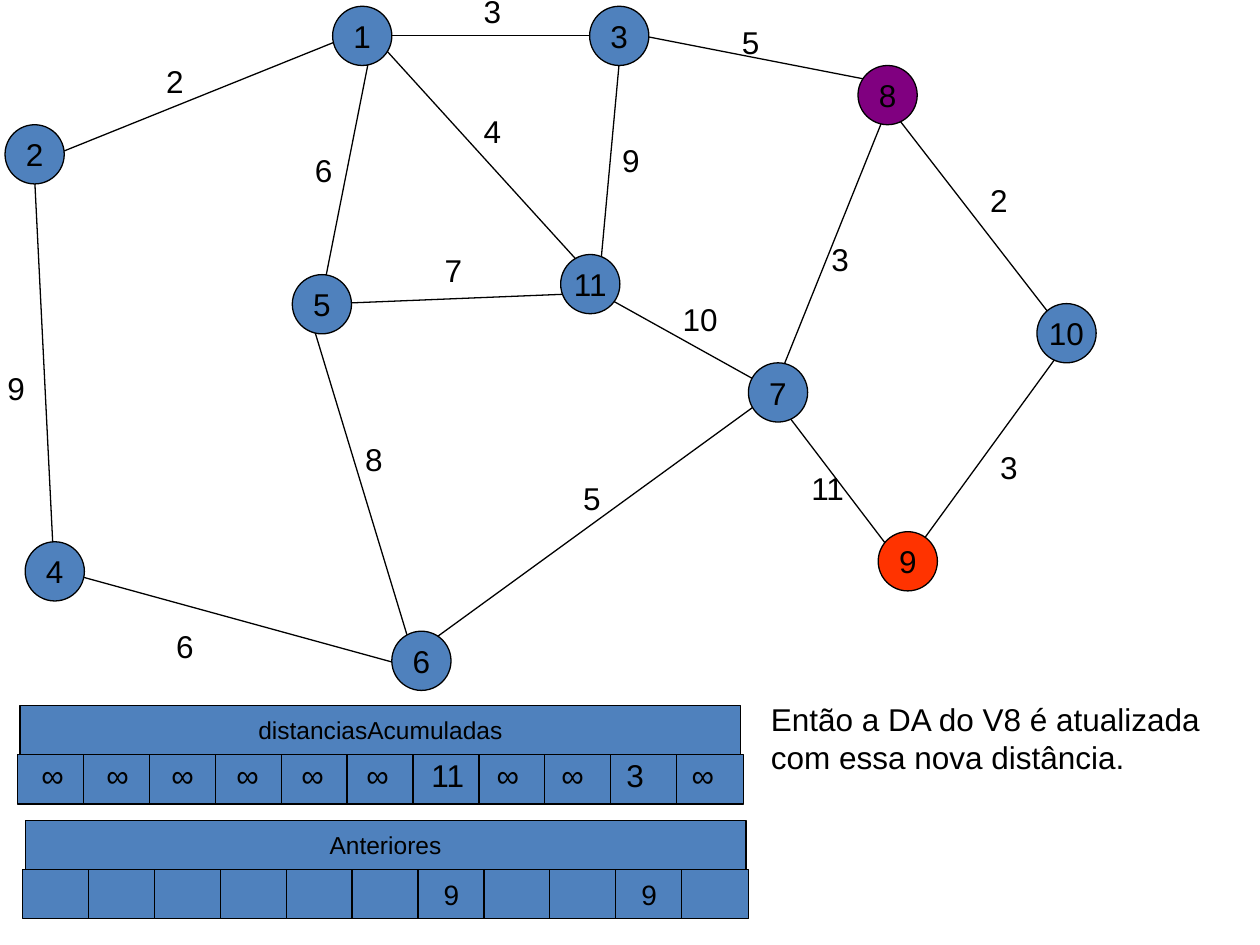
import pptx
import pptx.dml.color
import pptx.enum.shapes
import pptx.enum.text
import pptx.util
from lxml import etree

COLUMNS, ROWS = 10, 7.5  # one grid unit is one inch
BLUE, PURPLE, RED, BLACK = "4F81BD", "800080", "FF3300", "000000"
FONT = "Arial"
NODE_SIZE = 0.47
CELL_WIDTH, CELL_HEIGHT = 0.53, 0.39
VERTICES = 11

# name: (left, top) of each vertex
NODES = {
    "1": (2.64, 0.05), "3": (4.68, 0.05), "8": (6.81, 0.52),
    "10": (8.23, 2.41), "9": (6.97, 4.22), "7": (5.94, 2.88),
    "11": (4.45, 2.02), "5": (2.32, 2.18), "2": (0.04, 0.99),
    "4": (0.2, 4.3), "6": (3.11, 5.01),
}
NODE_COLOURS = {"8": PURPLE, "9": RED}

# start, end, weight, (left, top) of the weight
EDGES = [
    ((2.79, 0.28), (0.43, 1.23), "2", (1.22, 0.44)),
    ((0.27, 1.31), (0.43, 4.54), "9", (-0.04, 2.88)),
    ((0.51, 4.54), (3.35, 5.32), "6", (1.3, 4.93)),
    ((7.2, 4.46), (8.46, 2.73), "3", (7.84, 3.51)),
    ((8.39, 2.57), (7.05, 0.84), "2", (7.76, 1.39)),
    ((7.05, 0.84), (6.1, 3.2), "3", (6.5, 1.86)),
    ((6.18, 3.2), (7.2, 4.54), "11", (6.34, 3.67)),
    ((6.18, 3.12), (4.76, 2.33), "10", (5.32, 2.33)),
    ((2.64, 2.41), (4.61, 2.33), "7", (3.43, 1.94)),
    ((2.95, 0.36), (2.56, 2.33), "6", (2.4, 1.15)),
    ((2.48, 2.57), (3.27, 5.17), "8", (2.8, 3.44)),
    ((2.95, 0.28), (4.84, 0.28), "3", (3.74, -0.11)),
    ((5.08, 0.28), (7.13, 0.68), "5", (5.79, 0.13)),
    ((4.92, 0.44), (4.76, 2.18), "9", (4.84, 1.07)),
    ((3.03, 0.36), (4.61, 2.1), "4", (3.74, 0.84)),
    ((6.02, 3.2), (3.42, 5.09), "5", (4.53, 3.75)),
]

DISTANCES = {7: "11", 10: "3"}  # every other vertex is at infinity
PREVIOUS = {7: "9", 10: "9"}


def units(*lengths):
    return [pptx.util.Inches(length) for length in lengths]


def colour(hex_text):
    return pptx.dml.color.RGBColor.from_string(hex_text)


def write(shape, text, size, centred=False, wrap=False):
    frame = shape.text_frame
    frame.word_wrap = wrap
    paragraph = frame.paragraphs[0]
    if centred:
        frame.vertical_anchor = pptx.enum.text.MSO_ANCHOR.MIDDLE
        paragraph.alignment = pptx.enum.text.PP_ALIGN.CENTER
    run = paragraph.add_run()
    run.text = text
    run.font.name = FONT
    run.font.size = pptx.util.Pt(size)
    run.font.color.rgb = colour(BLACK)


def add_edge(slide, start, end):
    connector = slide.shapes.add_connector(
        pptx.enum.shapes.MSO_CONNECTOR.STRAIGHT, *units(*start, *end))
    connector.line.color.rgb = colour(BLACK)
    connector.line.width = pptx.util.Pt(0.75)
    properties = connector.element.spPr
    etree.SubElement(properties, pptx.oxml.ns.qn("a:effectLst"))


def add_outlined(slide, kind, box, fill, text="", size=18):
    """Add a filled preset shape with a thin outline and centred text."""
    shape = slide.shapes.add_shape(kind, *units(*box))
    shape.shadow.inherit = False
    shape.fill.solid()
    shape.fill.fore_color.rgb = colour(fill)
    shape.line.color.rgb = colour(BLACK)
    shape.line.width = pptx.util.Pt(0.75)
    if text:
        write(shape, text, size, centred=True)


def add_label(slide, left, top, text, width=None, height=0.4):
    if width is None:
        width = 0.39 if text == "∞" else 0.2 + 0.14 * len(text)
    box = slide.shapes.add_textbox(*units(left, top, width, height))
    write(box, text, 18, wrap=height > 0.4)
    box.text_frame.auto_size = pptx.enum.text.MSO_AUTO_SIZE.SHAPE_TO_FIT_TEXT


def add_array(slide, left, top, title, values):
    """Add a title bar with one cell per vertex below it."""
    rectangle = pptx.enum.shapes.MSO_SHAPE.RECTANGLE
    add_outlined(slide, rectangle, (left + 0.02, top, 5.72, CELL_HEIGHT),
                 BLUE, title, 14)
    pitch = (5.76 - CELL_WIDTH) / (VERTICES - 1)
    for index in range(VERTICES):
        box = (left + index * pitch, top + CELL_HEIGHT, CELL_WIDTH, CELL_HEIGHT)
        add_outlined(slide, rectangle, box, BLUE, values.get(index + 1, ""), 16)


def add_distances(slide):
    pitch = (5.39 - 0.23) / (VERTICES - 1)
    for index in range(VERTICES):
        add_label(slide, 0.23 + index * pitch, 5.95,
                  DISTANCES.get(index + 1, "∞"))


def main():
    presentation = pptx.Presentation()
    presentation.slide_width, presentation.slide_height = units(COLUMNS, ROWS)
    slide = presentation.slides.add_slide(presentation.slide_layouts[6])

    for start, end, _, _ in EDGES:
        add_edge(slide, start, end)
    for name, corner in NODES.items():
        add_outlined(slide, pptx.enum.shapes.MSO_SHAPE.OVAL,
                     (*corner, NODE_SIZE, NODE_SIZE),
                     NODE_COLOURS.get(name, BLUE), name)
    for _, _, weight, corner in EDGES:
        add_label(slide, *corner, weight)

    add_label(slide, 6.02, 5.51,
              "Então a DA do V8 é atualizada com essa nova distância.",
              3.78, 0.7)
    add_array(slide, 0.14, 5.6, "distanciasAcumuladas", {})
    add_array(slide, 0.18, 6.51, "Anteriores", PREVIOUS)
    add_distances(slide)
    presentation.save("out.pptx")


if __name__ == "__main__":
    main()
